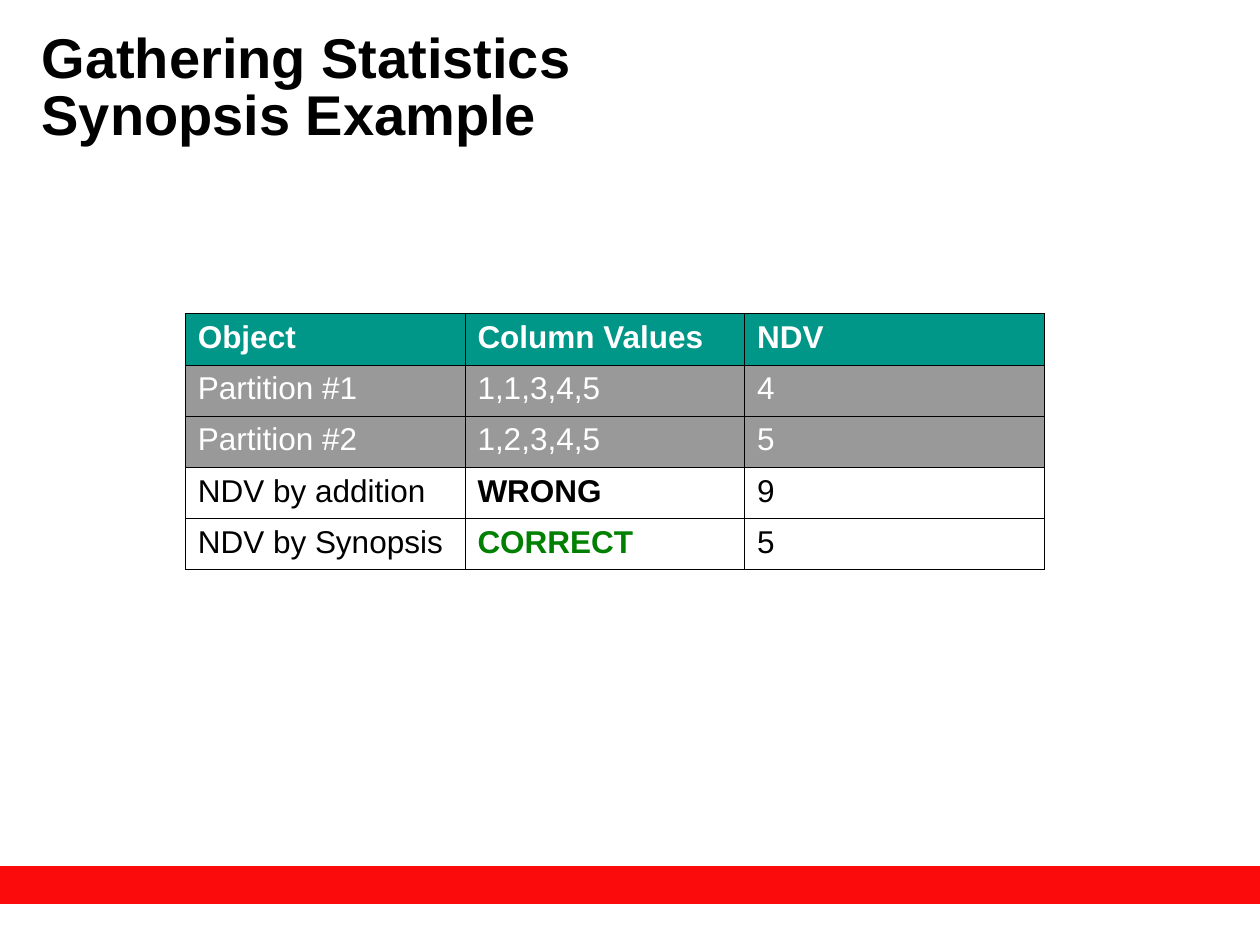
from lxml import etree
from pptx import Presentation
from pptx.dml.color import RGBColor
from pptx.enum import shapes, text
from pptx.oxml import ns
from pptx.util import Inches, Pt

BLACK, WHITE, RED = "000000", "FFFFFF", "FB0B0B"
TEAL, GRAY, GREEN = "009688", "999999", "008000"
COLS = [2.22, 2.22, 2.38]
ROWS = [
    ("Object", "Column Values", "NDV"),
    ("Partition #1", "1,1,3,4,5", "4"),
    ("Partition #2", "1,2,3,4,5", "5"),
    ("NDV by addition", "WRONG", "9"),
    ("NDV by Synopsis", "CORRECT", "5"),
]
FILLS = [TEAL, GRAY, GRAY, None, None]
MARKS = {"WRONG": BLACK, "CORRECT": GREEN}


def rgb(code):
    return RGBColor.from_string(code)


def write(frame, words, size=18, color=BLACK, bold=False, space=None):
    """Fill a text frame; a vertical tab in words breaks the line."""
    para = frame.paragraphs[0]
    para.text = words
    para.line_spacing = space
    for run in para.runs:
        font = run.font
        font.name, font.size, font.bold = "Arial", Pt(size), bold
        font.color.rgb = rgb(color)


def add_title(slide, words):
    box = slide.shapes.add_textbox(Inches(0.33), Inches(0.42), Inches(9.41), Inches(0.58))
    frame = box.text_frame
    frame.word_wrap = True
    frame.vertical_anchor = text.MSO_ANCHOR.MIDDLE
    frame.margin_left = frame.margin_right = frame.margin_top = frame.margin_bottom = 0
    write(frame, words, size=32, bold=True, space=0.85)


def add_band(slide):
    band = slide.shapes.add_shape(
        shapes.MSO_SHAPE.RECTANGLE, 0, Inches(6.88), Inches(10), Inches(0.29))
    band.shadow.inherit = False
    band.fill.solid()
    band.fill.fore_color.rgb = rgb(RED)
    band.line.color.rgb = rgb(RED)
    band.line.width = Pt(1)


def outline(cell, color=BLACK, width=0.45):
    """Draw all four borders; call before the fill is set."""
    props = cell._tc.get_or_add_tcPr()
    for side in ("a:lnL", "a:lnR", "a:lnT", "a:lnB"):
        line = etree.SubElement(props, ns.qn(side), w=str(Pt(width)))
        fill = etree.SubElement(line, ns.qn("a:solidFill"))
        etree.SubElement(fill, ns.qn("a:srgbClr"), val=color)


def paint(cell, color):
    if color:
        cell.fill.solid()
        cell.fill.fore_color.rgb = rgb(color)
    else:
        cell.fill.background()


def add_grid(slide):
    table = slide.shapes.add_table(
        len(ROWS), len(COLS), Inches(1.47), Inches(2.49),
        Inches(sum(COLS)), Inches(2.03)).table
    table.first_row = table.horz_banding = False
    for col, width in zip(table.columns, COLS):
        col.width = Inches(width)
    for row, words, fill in zip(table.rows, ROWS, FILLS):
        for cell, word in zip(row.cells, words):
            outline(cell)
            paint(cell, fill)
            color = WHITE if fill else MARKS.get(word, BLACK)
            write(cell.text_frame, word, color=color,
                  bold=fill == TEAL or word in MARKS)


def main():
    deck = Presentation()
    deck.slide_width, deck.slide_height = Inches(10), Inches(7.5)
    slide = deck.slides.add_slide(deck.slide_layouts[6])
    add_band(slide)
    add_title(slide, "Gathering Statistics\vSynopsis Example")
    add_grid(slide)
    deck.save("out.pptx")


if __name__ == "__main__":
    main()
